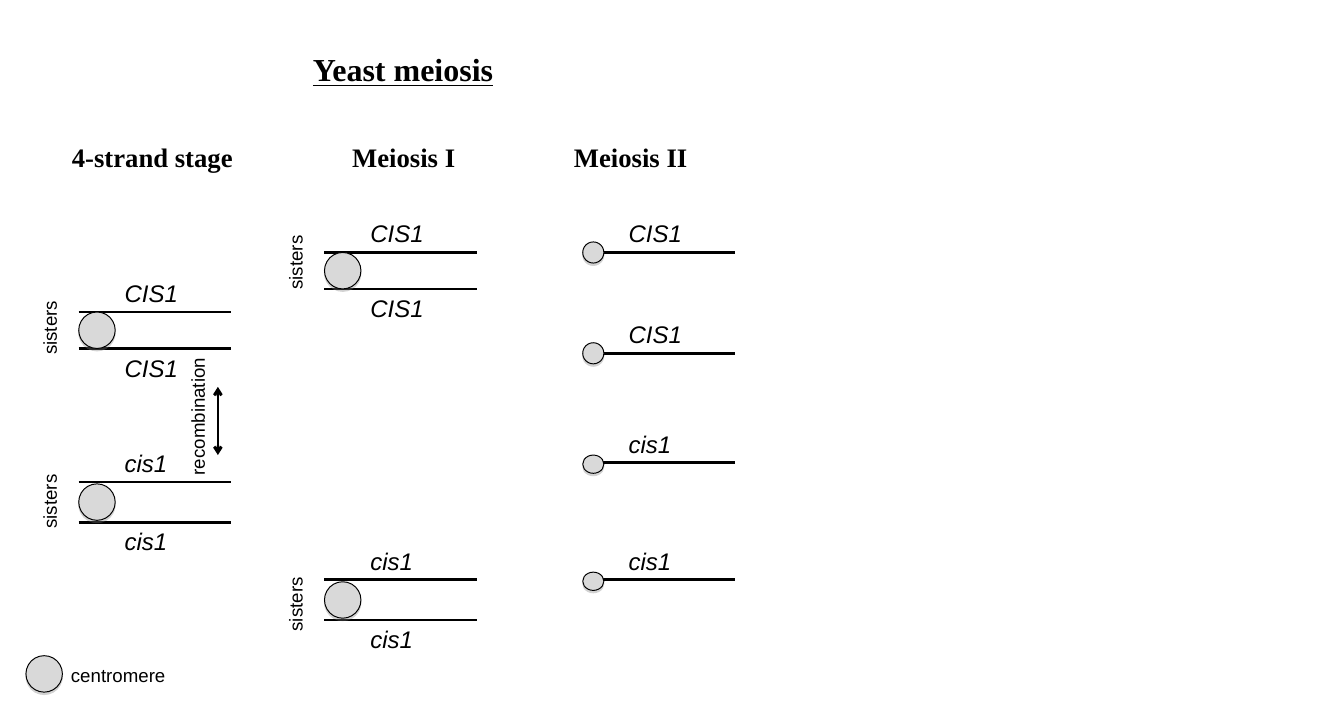
import lxml.etree
import pptx
import pptx.dml.color
import pptx.enum.shapes
import pptx.enum.text
import pptx.oxml.ns
import pptx.util

CELL = pptx.util.Inches(0.1)
COLORS = {"ink": "000000", "centromere": "D9D9D9", "shadow": "808080"}
STRAND = 15.9
LABEL_INSET = 3.8
LABEL_HEIGHT = 4
SISTER_PAIRS = [
    (8.2, 32.5, 3.8, "CIS1", 1.0),
    (8.2, 50.2, 4.2, "cis1", 1.4),
    (33.8, 26.3, 3.8, "CIS1", 0.4),
    (33.8, 60.4, 4.2, "cis1", 1.9),
]
CHROMATIDS = [
    (26.3, "CIS1", 1.1, 2.2),
    (36.8, "CIS1", 1.1, 2.2),
    (48.2, "cis1", 0.8, 1.9),
    (60.4, "cis1", 0.8, 1.9),
]
HEADINGS = [
    (6.5, 7.7, "4-strand stage"),
    (35.7, 4.4, "Meiosis I"),
    (58.8, 4.4, "Meiosis II"),
]


def cells(*values):
    """Convert grid cells to slide lengths."""
    return [round(value * CELL) for value in values]


def color(name):
    """Return a named colour."""
    return pptx.dml.color.RGBColor.from_string(COLORS[name])


def add_text(slide, box, text, size, face="Arial", rotation=0, **style):
    """Place one line of text in a box."""
    shape = slide.shapes.add_textbox(*cells(*box))
    shape.rotation = rotation
    frame = shape.text_frame
    frame.word_wrap = True
    frame.auto_size = pptx.enum.text.MSO_AUTO_SIZE.SHAPE_TO_FIT_TEXT
    run = frame.paragraphs[0].add_run()
    run.text = text
    run.font.name = face
    run.font.size = pptx.util.Pt(size)
    run.font.color.rgb = color("ink")
    for name, value in style.items():
        setattr(run.font, name, value)


def add_line(slide, start, end, arrows=False):
    """Draw a strand or a double arrow."""
    line = slide.shapes.add_connector(
        pptx.enum.shapes.MSO_CONNECTOR.STRAIGHT, *cells(*start, *end))
    line.line.color.rgb = color("ink")
    line.line.width = pptx.util.Pt(2)
    properties = line._element.spPr
    if arrows:
        outline = properties.find(pptx.oxml.ns.qn("a:ln"))
        for tag in ("a:headEnd", "a:tailEnd"):
            lxml.etree.SubElement(outline, pptx.oxml.ns.qn(tag), type="arrow")
    lxml.etree.SubElement(properties, pptx.oxml.ns.qn("a:effectLst"))


def add_centromere(slide, left, top, width, height):
    """Draw a centromere with its soft shadow."""
    shape = slide.shapes.add_shape(
        pptx.enum.shapes.MSO_SHAPE.OVAL, *cells(left, top, width, height))
    shape.fill.solid()
    shape.fill.fore_color.rgb = color("centromere")
    shape.line.color.rgb = color("ink")
    shape.line.width = pptx.util.Pt(0.75)
    shape.shadow.inherit = False
    qn = pptx.oxml.ns.qn
    effects = shape._element.spPr.find(qn("a:effectLst"))
    shadow = lxml.etree.SubElement(
        effects, qn("a:outerShdw"), blurRad="0", dist="22860",
        dir="5400000", rotWithShape="0")
    tint = lxml.etree.SubElement(shadow, qn("a:srgbClr"), val=COLORS["shadow"])
    lxml.etree.SubElement(tint, qn("a:alpha"), val="35000")


def add_allele(slide, left, top, name):
    """Label a strand with its allele."""
    add_text(slide, (left + LABEL_INSET, top, 12.1, LABEL_HEIGHT), name, 18,
             italic=True)


def add_sister_pair(slide, left, top, gap, allele, middle):
    """Draw two sister strands joined by a centromere."""
    add_allele(slide, left, top - LABEL_HEIGHT, allele)
    add_allele(slide, left, top + gap, allele)
    for level in (top, top + gap):
        add_line(slide, (left, level), (left + STRAND, level))
    add_centromere(slide, left, top + (gap - 3.8) / 2, 3.8, 3.8)
    add_text(slide, (left - 7.45, top + middle - 1.7, 8.9, 3.4), "sisters", 14,
             rotation=270)


def add_chromatid(slide, left, top, allele, rise, height):
    """Draw a single strand with its centromere."""
    add_allele(slide, left, top - LABEL_HEIGHT, allele)
    add_line(slide, (left, top), (left + STRAND, top))
    add_centromere(slide, left, top - rise, 2.2, height)


def add_headings(slide, top):
    """Place the title and the stage headings."""
    serif = "Times New Roman"
    add_text(slide, (31.6, top, 29.1, 5), "Yeast meiosis", 24, serif,
             bold=True, underline=True)
    for left, height, text in HEADINGS:
        add_text(slide, (left, top + 9.5, 19.7, height), text, 20, serif,
                 bold=True)


def add_recombination(slide, left, top):
    """Place the recombination arrow and its label."""
    add_text(slide, (left - 9.6, top + 1, 15, 3.4), "recombination", 14,
             rotation=270)
    add_line(slide, (left, top + 7.1), (left, top), arrows=True)


def add_legend(slide, left, top):
    """Explain the centromere symbol."""
    add_centromere(slide, left, top, 3.8, 3.8)
    add_text(slide, (left + 3.7, top + 0.4, 13.4, 3.4), "centromere", 14)


def main():
    """Build and save the slide."""
    presentation = pptx.Presentation()
    presentation.slide_width, presentation.slide_height = cells(140, 75)
    slide = presentation.slides.add_slide(presentation.slide_layouts[6])
    add_headings(slide, 4.7)
    for pair in SISTER_PAIRS:
        add_sister_pair(slide, *pair)
    for chromatid in CHROMATIDS:
        add_chromatid(slide, 60.7, *chromatid)
    add_recombination(slide, 22.7, 40.3)
    add_legend(slide, 2.7, 68.3)
    presentation.save("out.pptx")


main()
